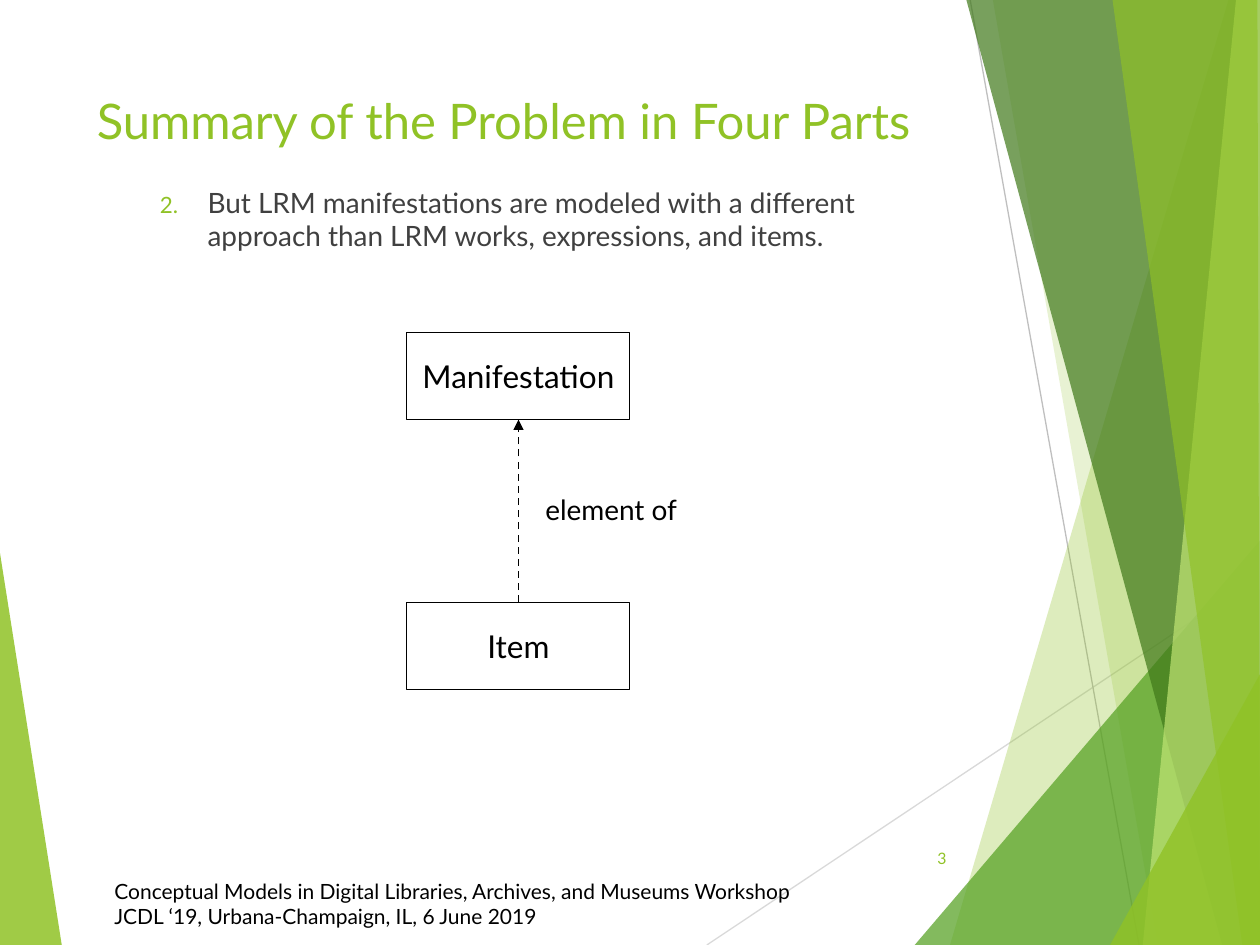
from lxml.etree import SubElement
from pptx import Presentation
from pptx.dml.color import RGBColor
from pptx.enum.dml import MSO_LINE
from pptx.enum.shapes import MSO_CONNECTOR, MSO_SHAPE
from pptx.enum.text import MSO_ANCHOR, PP_ALIGN
from pptx.oxml.ns import qn
from pptx.util import Inches, Pt

GREEN, BLACK, GREY = "90C226", "000000", "404040"

LEFT = [(0, 4.39), (0.49, 7.5), (0, 7.5)]
RAYS = [((5.61, 7.5), (10, 4.57), "D9D9D9"), ((7.7, 0), (9.04, 7.5), "BFBFBF")]
FACETS = [
    (GREEN, 30, [(9.75, 0), (7.54, 7.5), (10, 7.5), (10, 0)]),
    (GREEN, 20, [(7.88, 0), (9.19, 7.5), (10, 7.5), (10, 0)]),
    ("54A021", 72, [(7.26, 7.5), (10, 4.29), (10, 7.5)]),
    ("3F7819", 70, [(7.67, 0), (9.7, 7.5), (10, 7.5), (10, 0)]),
    ("C0E474", 70, [(9.81, 0), (9.07, 7.5), (10, 7.5), (10, 0)]),
    (GREEN, 65, [(8.83, 0), (9.86, 7.5), (10, 7.5), (9.98, 0)]),
    (GREEN, 80, [(8.81, 7.5), (10, 5.35), (10, 7.5)]),
]


def color(code):
    return RGBColor.from_string(code)


class Deck:
    """Hold the font and the current slide, and draw each kind of element."""

    def __init__(self, slide, font):
        self.shapes = slide.shapes
        self.font = font

    def fill_text(self, shape, text, size, tint, align=PP_ALIGN.LEFT, anchor=MSO_ANCHOR.TOP):
        frame = shape.text_frame
        frame.text = text
        frame.word_wrap = True
        frame.vertical_anchor = anchor
        for para in frame.paragraphs:
            para.alignment = align
            for run in para.runs:
                run.font.name = self.font
                run.font.size = Pt(size)
                run.font.color.rgb = color(tint)

    def label(self, place, text, size, tint, **style):
        box = self.shapes.add_textbox(*map(Inches, place))
        self.fill_text(box, text, size, tint, **style)
        return box

    def number(self, box, start, tint):
        para = box.text_frame.paragraphs[0]
        para.space_before = Pt(10)
        props = para._p.get_or_add_pPr()
        props.set("marL", str(Inches(0.88)))
        props.set("indent", str(Inches(-0.38)))
        SubElement(SubElement(props, qn("a:buClr")), qn("a:srgbClr"), val=tint)
        SubElement(props, qn("a:buSzPct"), val="80000")
        SubElement(props, qn("a:buFont"), typeface=self.font)
        SubElement(props, qn("a:buAutoNum"), type="arabicPeriod", startAt=str(start))

    def box(self, place, text):
        rect = self.shapes.add_shape(MSO_SHAPE.RECTANGLE, *map(Inches, place))
        rect.shadow.inherit = False
        rect.fill.background()
        rect.line.color.rgb = color(BLACK)
        rect.line.width = Pt(0.5)
        self.fill_text(rect, text, 18, BLACK, PP_ALIGN.CENTER, MSO_ANCHOR.MIDDLE)
        return rect

    def facet(self, tint, alpha, points):
        spots = [(Inches(x), Inches(y)) for x, y in points]
        build = self.shapes.build_freeform(*spots[0])
        build.add_line_segments(spots[1:])
        shape = build.convert_to_shape()
        shape.shadow.inherit = False
        shape.line.fill.background()
        shape.fill.solid()
        shape.fill.fore_color.rgb = color(tint)
        node = shape._element.spPr.find(qn("a:solidFill"))[0]
        SubElement(node, qn("a:alpha"), val=str(alpha * 1000))

    def line(self, start, end, tint, width=0.75):
        line = self.shapes.add_connector(MSO_CONNECTOR.STRAIGHT, *map(Inches, start + end))
        line.line.color.rgb = color(tint)
        line.line.width = Pt(width)
        SubElement(line._element.spPr, qn("a:effectLst"))
        return line

    def arrow(self, source, target):
        line = self.line((0, 0), (0, 0), BLACK, 1)
        line.begin_connect(source, 0)
        line.end_connect(target, 2)
        line.line.dash_style = MSO_LINE.DASH
        SubElement(line._element.spPr.find(qn("a:ln")), qn("a:tailEnd"), type="triangle")


def main():
    prs = Presentation()
    prs.slide_width, prs.slide_height = Inches(10), Inches(7.5)
    deck = Deck(prs.slides.add_slide(prs.slide_layouts[6]), "Lato")

    deck.facet(GREEN, 85, LEFT)
    for ray in RAYS:
        deck.line(*ray)
    for facet in FACETS:
        deck.facet(*facet)

    deck.label((0.67, 0.67, 6.94, 1.44), "Summary of the Problem in Four Parts", 28, GREEN)
    point = deck.label(
        (0.67, 1.42, 6.94, 0.69),
        "But LRM manifestations are modeled with a different approach "
        "than LRM works, expressions, and items.",
        16, GREY,
    )
    deck.number(point, 2, GREEN)
    deck.label(
        (0.81, 6.92, 5.96, 0.5),
        "Conceptual Models in Digital Libraries, Archives, and Museums Workshop\n"
        "JCDL ‘19, Urbana-Champaign, IL, 6 June 2019",
        12, BLACK,
    )
    deck.label((7.05, 6.61, 0.56, 0.4), "3", 9, GREEN,
               align=PP_ALIGN.RIGHT, anchor=MSO_ANCHOR.MIDDLE)

    whole = deck.box((3.23, 2.64, 1.77, 0.69), "Manifestation")
    item = deck.box((3.23, 4.78, 1.77, 0.69), "Item")
    deck.arrow(item, whole)
    deck.label((4.23, 3.86, 1.52, 0.37), "element of", 16, BLACK)

    prs.save("out.pptx")


if __name__ == "__main__":
    main()
